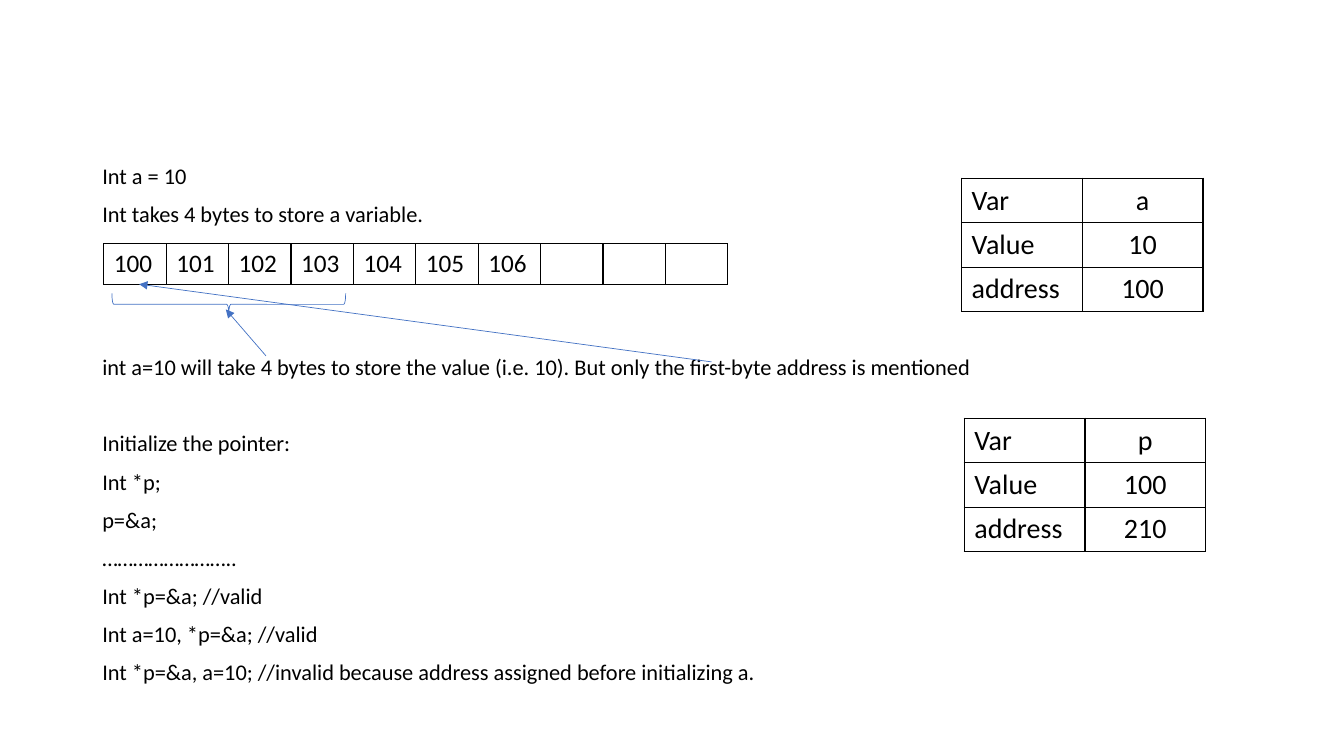
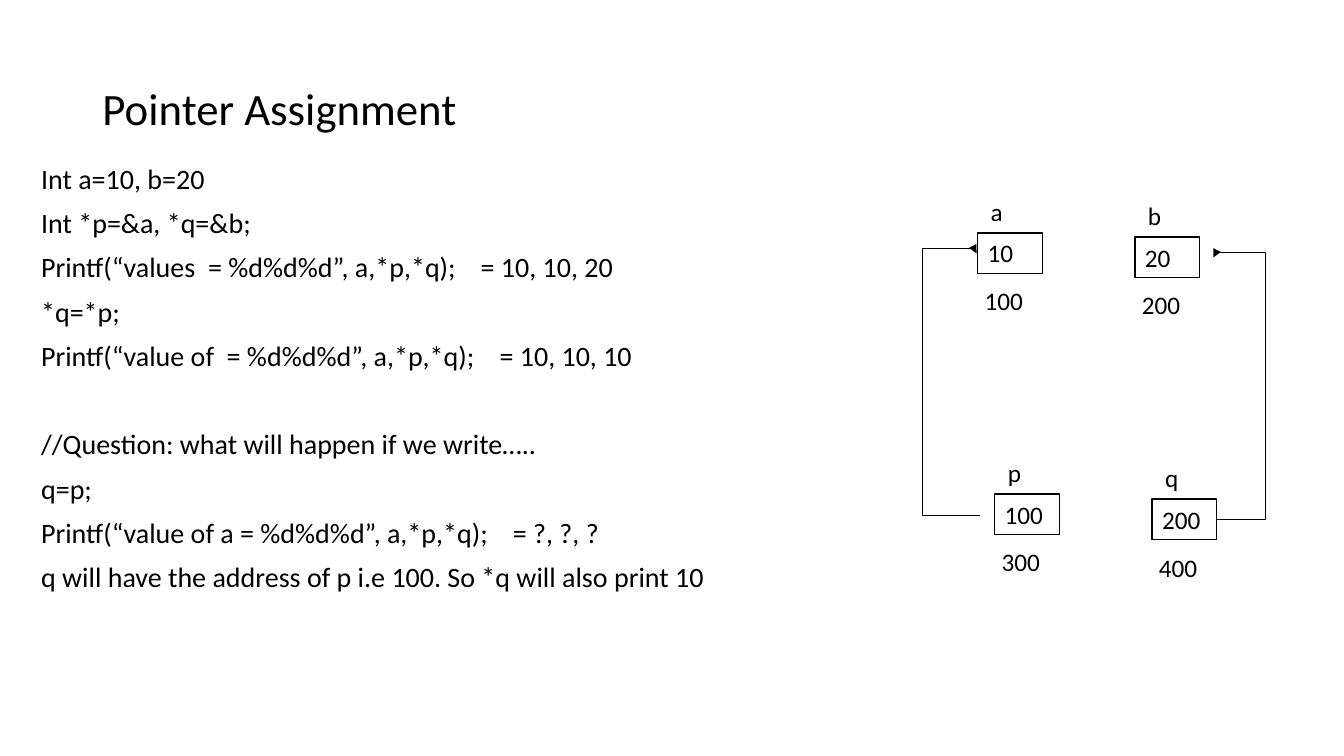
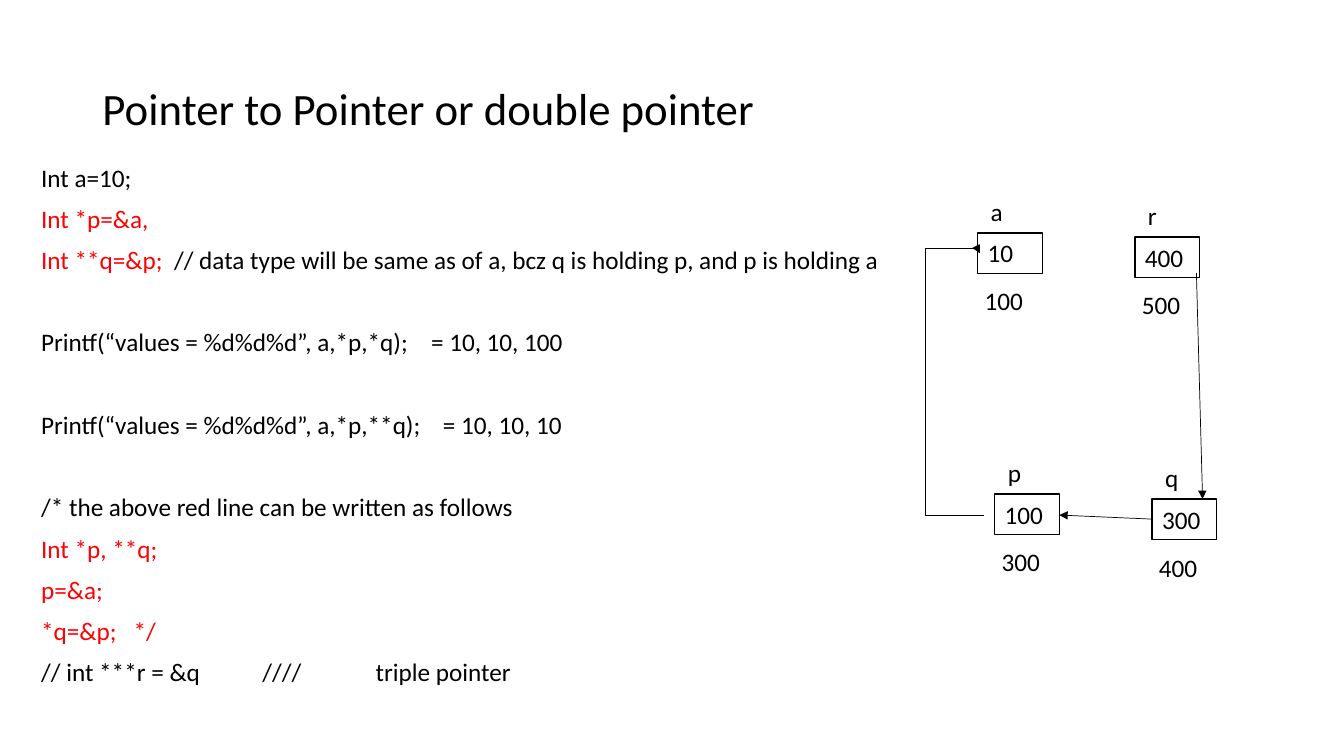
from dataclasses import dataclass

from lxml import etree
from pptx import Presentation
from pptx import util as u
from pptx.dml import color as dml
from pptx.enum import shapes, text
from pptx.oxml import ns


@dataclass(frozen=True)
class Theme:
    font: str = "Calibri"
    ink: str = "000000"
    paper: str = "FFFFFF"
    accent: str = "4472C4"
    highlight: str = "FF0000"
    title_size: float = 32
    large: float = 20
    medium: float = 18
    small: float = 16
    thin: float = 0.5
    border: float = 1
    line_spacing: float = 0.9
    paragraph_gap: float = 10


@dataclass(frozen=True)
class Line:
    text: str
    color: str = ""
    remark: str = ""
    skip: int = 0
    tabs: tuple = ()


THEME = Theme()
CELL_WIDTH, CELL_HEIGHT = 46.1, 29
PLACES = ((698.4, 166.3), (810.7, 169.2), (710.6, 352.8), (823, 356.4))


def rgb(value):
    return dml.RGBColor.from_string(value)


def points(*lengths):
    return [u.Pt(length) for length in lengths]


def add_xml(parent, tag, **attributes):
    return etree.SubElement(parent, ns.qn(tag), attributes)


def write(frame, content, size=THEME.medium, color=THEME.ink, align=text.PP_ALIGN.LEFT,
          anchor=text.MSO_ANCHOR.TOP, spacing=1.0, gap=0):
    frame.word_wrap = True
    frame.auto_size = text.MSO_AUTO_SIZE.NONE
    frame.vertical_anchor = anchor
    lines = [Line(content)] if isinstance(content, str) else content
    for index, line in enumerate(lines):
        paragraph = frame.add_paragraph() if index else frame.paragraphs[0]
        paragraph.alignment = align
        paragraph.line_spacing = spacing
        paragraph.space_before = u.Pt(gap + line.skip * (size * 1.2 * spacing + gap))
        if line.tabs:
            stops = add_xml(paragraph._p.get_or_add_pPr(), "a:tabLst")
            for stop in line.tabs:
                add_xml(stops, "a:tab", pos=str(u.Pt(stop)), algn="l")
        for words, tint in ((line.text, line.color or color), (line.remark, color)):
            if words:
                run = paragraph.add_run()
                run.text = words
                run.font.name = THEME.font
                run.font.size = u.Pt(size)
                run.font.color.rgb = rgb(tint)


def add_title(slide, words):
    title = slide.shapes.title
    title.left, title.top, title.width, title.height = points(66, 36, 828, 64)
    write(title.text_frame, words, size=THEME.title_size,
          anchor=text.MSO_ANCHOR.BOTTOM, spacing=THEME.line_spacing)


def add_label(slide, box, content, **look):
    label = slide.shapes.add_textbox(*points(*box))
    write(label.text_frame, content, **look)


def add_code(slide, left, width, lines, size):
    add_label(slide, (left, 114.5, width, 389.5), lines, size=size,
              spacing=THEME.line_spacing, gap=THEME.paragraph_gap)


def add_grid(slide, left, top, column_width, row_height, rows, size,
             centered_column=None):
    grid = slide.shapes.add_table(
        len(rows), len(rows[0]),
        *points(left, top, column_width * len(rows[0]), row_height * len(rows))).table
    grid.first_row = grid.horz_banding = False
    for column in grid.columns:
        column.width = u.Pt(column_width)
    for row, values in enumerate(rows):
        grid.rows[row].height = u.Pt(row_height)
        for column, value in enumerate(values):
            cell = grid.cell(row, column)
            align = text.PP_ALIGN.CENTER if column == centered_column else text.PP_ALIGN.LEFT
            write_cell(cell, value, size, align)


def write_cell(cell, value, size, align):
    paragraph = cell.text_frame.paragraphs[0]
    paragraph.text = value
    paragraph.alignment = align
    paragraph.font.name = THEME.font
    paragraph.font.size = u.Pt(size)
    paragraph.font.color.rgb = rgb(THEME.ink)
    properties = cell._tc.get_or_add_tcPr()
    for side in ("a:lnL", "a:lnR", "a:lnT", "a:lnB"):
        edge = add_xml(properties, side, w=str(u.Pt(THEME.border)))
        add_xml(add_xml(edge, "a:solidFill"), "a:srgbClr", val=THEME.ink)
    cell.fill.background()


def add_arrow(slide, start, end, color=THEME.ink, kind=shapes.MSO_CONNECTOR.STRAIGHT):
    arrow = slide.shapes.add_connector(kind, *points(*start, *end))
    arrow.line.color.rgb = rgb(color)
    arrow.line.width = u.Pt(THEME.thin)
    add_xml(arrow.line._get_or_add_ln(), "a:tailEnd", type="triangle")
    add_xml(arrow._element.spPr, "a:effectLst")
    return arrow


def add_loop(slide, start, end, bend_x, bend_y):
    loop = add_arrow(slide, start, end, kind=shapes.MSO_CONNECTOR.ELBOW)
    geometry = loop._element.spPr.find(ns.qn("a:prstGeom"))
    geometry.set("prst", "bentConnector4")
    guides = geometry.find(ns.qn("a:avLst"))
    if guides is None:
        guides = add_xml(geometry, "a:avLst")
    for index, bend in enumerate((bend_x, bend_y)):
        ratio = (bend - start[index]) / (end[index] - start[index])
        add_xml(guides, "a:gd", name=f"adj{index + 1}", fmla=f"val {round(ratio * 100000)}")


def add_brace(slide, box):
    brace = slide.shapes.add_shape(shapes.MSO_SHAPE.RIGHT_BRACE, *points(*box))
    brace.rotation = 90
    brace.shadow.inherit = False
    brace.fill.background()
    brace.line.color.rgb = rgb(THEME.accent)
    brace.line.width = u.Pt(THEME.thin)


def add_variable(slide, left, top, name, value, address):
    add_label(slide, (left + 2.2, top - 29.4, CELL_WIDTH, CELL_HEIGHT), name)
    cell = slide.shapes.add_shape(shapes.MSO_SHAPE.RECTANGLE,
                                  *points(left, top, CELL_WIDTH, CELL_HEIGHT))
    cell.shadow.inherit = False
    cell.fill.solid()
    cell.fill.fore_color.rgb = rgb(THEME.paper)
    cell.line.color.rgb = rgb(THEME.ink)
    cell.line.width = u.Pt(THEME.border)
    write(cell.text_frame, value)
    add_label(slide, (left - 2.2, top + 34.2, CELL_WIDTH, CELL_HEIGHT), address)


def add_memory(slide, variables):
    for place, variable in zip(PLACES, variables):
        add_variable(slide, *place, *variable)


def build_storage(deck):
    slide = deck.slides.add_slide(deck.slide_layouts[6])
    add_code(slide, 66, 828, [
        Line("Int a = 10"),
        Line("Int takes 4 bytes to store a variable."),
        Line("int a=10 will take 4 bytes to store the value (i.e. 10). "
             "But only the first-byte address is mentioned", skip=3),
        Line("Initialize the pointer:", skip=1),
        Line("Int *p;"),
        Line("p=&a;"),
        Line("…………………….."),
        Line("Int *p=&a; //valid"),
        Line("Int a=10, *p=&a; //valid"),
        Line("Int *p=&a, a=10; //invalid because address assigned before initializing a."),
    ], THEME.small)
    for left, top, name, value, address in ((686.9, 127.4, "a", "10", "100"),
                                            (688.8, 298.8, "p", "100", "210")):
        rows = [("Var", name), ("Value", value), ("address", address)]
        add_grid(slide, left, top, 86.2, 31.7, rows, THEME.large, centered_column=1)
    addresses = [str(number) for number in range(100, 107)] + [""] * 3
    add_grid(slide, 74.2, 174.2, 44.57, 29.2, [addresses], THEME.medium)
    add_brace(slide, (155.5, 133.9, 15.8, 167))
    add_arrow(slide, (190, 254.2), (161.3, 221), THEME.accent)
    add_arrow(slide, (508.3, 258.5), (99.4, 203), THEME.accent)


def build_assignment(deck):
    slide = deck.slides.add_slide(deck.slide_layouts[5])
    add_title(slide, "Pointer Assignment")
    add_code(slide, 22.3, 509, [
        Line("Int a=10, b=20"),
        Line("Int *p=&a, *q=&b;"),
        Line("Printf(“values  = %d%d%d”, a,*p,*q);\t= 10, 10, 20", tabs=(314,)),
        Line("*q=*p;"),
        Line("Printf(“value of  = %d%d%d”, a,*p,*q);\t= 10, 10, 10", tabs=(327.5,)),
        Line("//Question: what will happen if we write…..", skip=1),
        Line("q=p;"),
        Line("Printf(“value of a = %d%d%d”, a,*p,*q);\t= ?, ?, ?", tabs=(337,)),
        Line("q will have the address of p i.e 100. So *q will also print 10"),
    ], THEME.large)
    add_memory(slide, [("a", "10", "100"), ("b", "20", "200"),
                       ("p", "100", "300"), ("q", "200", "400")])
    add_loop(slide, (869.3, 370.8), (866.7, 184), 903.6, 180)
    add_loop(slide, (700.2, 367.9), (697.6, 181), 659, 177)


def build_double_pointer(deck):
    slide = deck.slides.add_slide(deck.slide_layouts[5])
    add_title(slide, "Pointer to Pointer or double pointer")
    red = THEME.highlight
    add_code(slide, 22.3, 627, [
        Line("Int a=10;"),
        Line("Int *p=&a,", red),
        Line("Int **q=&p; ", red,
             " // data type will be same as of a, bcz q is holding p, and p is holding a"),
        Line("Printf(“values = %d%d%d”, a,*p,*q);\t= 10, 10, 100", skip=1, tabs=(278.5,)),
        Line("Printf(“values = %d%d%d”, a,*p,**q);\t= 10, 10, 10", skip=1, tabs=(287,)),
        Line("/* the above red line can be written as follows", skip=1),
        Line("Int *p, **q;", red),
        Line("p=&a;", red),
        Line("*q=&p;\t*/", red, tabs=(66,)),
        Line("// int ***r = &q\t////\ttriple pointer", tabs=(158, 239)),
    ], THEME.medium)
    add_memory(slide, [("a", "10", "100"), ("r", "400", "500"),
                       ("p", "100", "300"), ("q", "300", "400")])
    add_loop(slide, (702.6, 367.9), (700, 181), 661, 177)
    add_arrow(slide, (823, 370.8), (756.7, 367.9))
    add_arrow(slide, (854.6, 195.1), (859, 356.4))


def main():
    deck = Presentation()
    deck.slide_width, deck.slide_height = points(960, 540)
    build_storage(deck)
    build_assignment(deck)
    build_double_pointer(deck)
    deck.save("out.pptx")


if __name__ == "__main__":
    main()
